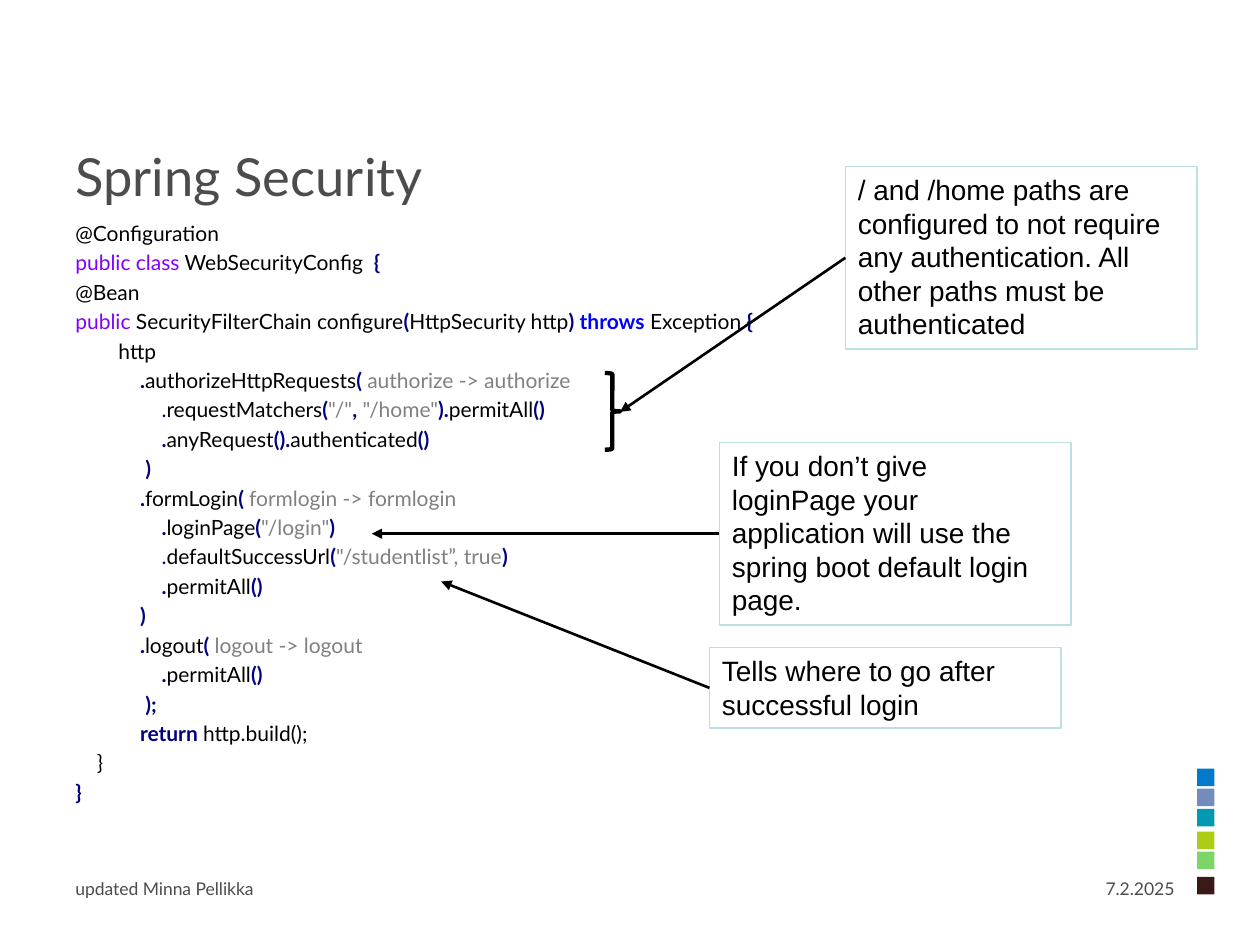
import pptx
import pptx.util
import pptx.dml.color
import pptx.enum.shapes
import pptx.enum.text
import pptx.oxml
import pptx.oxml.ns

Pt = pptx.util.Pt
RGBColor = pptx.dml.color.RGBColor
MSO_SHAPE = pptx.enum.shapes.MSO_SHAPE
PP_ALIGN = pptx.enum.text.PP_ALIGN
MSO_ANCHOR = pptx.enum.text.MSO_ANCHOR

BLACK = RGBColor(0x00, 0x00, 0x00)
SLATE = RGBColor(0x4C, 0x4C, 0x4C)
GRAY = RGBColor(0x80, 0x80, 0x80)
PURPLE = RGBColor(0x80, 0x00, 0xFF)
NAVY = RGBColor(0x00, 0x00, 0x80)
BLUE = RGBColor(0x00, 0x00, 0xFF)
PALE_TEAL = RGBColor(0xBB, 0xE0, 0xE3)

SWATCHES = [
    (439.2, RGBColor(0x00, 0x7A, 0xC9)),
    (450.7, RGBColor(0x73, 0x8C, 0xBC)),
    (462.2, RGBColor(0x00, 0x99, 0xB1)),
    (475.2, RGBColor(0xAC, 0xCD, 0x15)),
    (486.7, RGBColor(0x7C, 0xD5, 0x68)),
    (501.1, RGBColor(0x3A, 0x1A, 0x18)),
]

PLAIN = (BLACK, False)
KEYWORD = (PURPLE, False)
THROWS = (BLUE, True)
MARK = (NAVY, True)
LIGHT_MARK = (NAVY, False)
ARGUMENT = (GRAY, False)

SPACE_WIDTH = 3.08
CODE = [
    (0, [("@Configuration", PLAIN)]),
    (0, [("public", KEYWORD), (" ", PLAIN), ("class", KEYWORD),
         (" WebSecurityConfig  ", PLAIN), ("{", MARK)]),
    (0, [("@Bean", PLAIN)]),
    (0, [("public", KEYWORD), (" SecurityFilterChain configure", PLAIN),
         ("(", MARK), ("HttpSecurity http", PLAIN), (")", MARK), (" ", PLAIN),
         ("throws", THROWS), (" Exception ", PLAIN), ("{", MARK)]),
    (8, [("http", PLAIN)]),
    (12, [(".", MARK), ("authorizeHttpRequests", PLAIN), ("( ", MARK),
          ("authorize -> authorize", ARGUMENT)]),
    (16, [(".", LIGHT_MARK), ("requestMatchers", PLAIN), ("(", MARK),
          ('"/"', ARGUMENT), (",", MARK), (" ", PLAIN), ('"/home"', ARGUMENT),
          (").", MARK), ("permitAll", PLAIN), ("()", MARK)]),
    (16, [(".", MARK), ("anyRequest", PLAIN), ("().", MARK),
          ("authenticated", PLAIN), ("()", MARK)]),
    (13, [(")", MARK)]),
    (12, [(".", MARK), ("formLogin", PLAIN), ("( ", MARK),
          ("formlogin -> formlogin", ARGUMENT)]),
    (16, [(".", MARK), ("loginPage", PLAIN), ("(", MARK),
          ('"/login"', ARGUMENT), (")", MARK)]),
    (16, [(".", LIGHT_MARK), ("defaultSuccessUrl", PLAIN), ("(", MARK),
          ('"/studentlist”, true', ARGUMENT), (")", MARK)]),
    (16, [(".", MARK), ("permitAll", PLAIN), ("()", MARK)]),
    (12, [(")", MARK)]),
    (12, [(".", MARK), ("logout", PLAIN), ("( ", MARK),
          ("logout -> logout", ARGUMENT)]),
    (16, [(".", MARK), ("permitAll", PLAIN), ("()", MARK)]),
    (13, [(");", MARK)]),
    (12, [("return ", MARK), ("http.build();", PLAIN)]),
    (4, [("}", PLAIN)]),
    (0, [("}", MARK)]),
]

NOTES = [
    ("If you don’t give loginPage your application will use the spring boot "
     "default login page.", 411.1, 252.8, 104.4, (212.4, 305)),
    ("Tells where to go after successful login",
     405.4, 370.1, 46, (252.1, 332.3)),
    ("/ and /home paths are configured to not require any authentication. "
     "All other paths must be authenticated", 483.1, 95.1, 104.4, (354.3, 235.4)),
]


def add_run(paragraph, text, size, color, font="Lato", bold=False):
    run = paragraph.add_run()
    run.text = text
    run.font.name = font
    run.font.size = Pt(size)
    run.font.bold = bold
    run.font.color.rgb = color


def set_title(slide, text):
    title = slide.shapes.title
    title.left, title.top, title.width, title.height = (
        Pt(36), Pt(54.7), Pt(635.8), Pt(90.7))
    title.text_frame.vertical_anchor = MSO_ANCHOR.MIDDLE
    paragraph = title.text_frame.paragraphs[0]
    paragraph.alignment = PP_ALIGN.LEFT
    add_run(paragraph, text, 30, SLATE)


def add_text_frame(slide, left, top, width, height):
    frame = slide.shapes.add_textbox(
        Pt(left), Pt(top), Pt(width), Pt(height)).text_frame
    frame.word_wrap = True
    return frame


def add_code(slide, lines):
    frame = add_text_frame(slide, 36, 122.4, 669.6, 368.6)
    for number, (spaces, tokens) in enumerate(lines):
        paragraph = frame.add_paragraph() if number else frame.paragraphs[0]
        paragraph.space_before = Pt(2.4)
        if spaces:
            properties = paragraph._p.get_or_add_pPr()
            properties.set("marL", str(Pt(spaces * SPACE_WIDTH)))
            properties.set("indent", "0")
        for text, (color, bold) in tokens:
            add_run(paragraph, text, 12, color, bold=bold)


def add_footer(slide, text, left, width, alignment):
    paragraph = add_text_frame(slide, left, 498.2, width, 20).paragraphs[0]
    paragraph.alignment = alignment
    add_run(paragraph, text, 10, SLATE)


def add_swatch(slide, top, color):
    swatch = slide.shapes.add_shape(
        MSO_SHAPE.RECTANGLE, Pt(684), Pt(top), Pt(10), Pt(10))
    swatch.shadow.inherit = False
    swatch.fill.solid()
    swatch.fill.fore_color.rgb = color
    swatch.line.fill.background()


def add_outline(slide, kind, left, top, width, height, color, weight):
    outline = slide.shapes.add_shape(
        kind, Pt(left), Pt(top), Pt(width), Pt(height))
    outline.shadow.inherit = False
    outline.fill.background()
    outline.line.color.rgb = color
    outline.line.width = Pt(weight)
    return outline


def add_note(slide, text, left, top, height):
    note = add_outline(
        slide, MSO_SHAPE.RECTANGLE, left, top, 200.9, height, PALE_TEAL, 0.75)
    frame = note.text_frame
    frame.word_wrap = True
    frame.vertical_anchor = MSO_ANCHOR.TOP
    paragraph = frame.paragraphs[0]
    paragraph.alignment = PP_ALIGN.LEFT
    add_run(paragraph, text, 16, BLACK, "Arial")
    return note


def add_arrow(slide, note, target):
    target_x, target_y = target
    arrow = slide.shapes.add_connector(
        pptx.enum.shapes.MSO_CONNECTOR.STRAIGHT,
        note.left, note.top, Pt(target_x), Pt(target_y))
    arrow.begin_connect(note, 1)
    arrow.line.color.rgb = BLACK
    arrow.line.width = Pt(1.5)
    head = pptx.oxml.parse_xml(
        f'<a:tailEnd {pptx.oxml.ns.nsdecls("a")} type="triangle"/>')
    arrow.line._get_or_add_ln().append(head)
    arrow._element.spPr.append(
        pptx.oxml.parse_xml(f'<a:effectLst {pptx.oxml.ns.nsdecls("a")}/>'))


def main():
    deck = pptx.Presentation()
    deck.slide_width, deck.slide_height = Pt(720), Pt(540)
    slide = deck.slides.add_slide(deck.slide_layouts[5])
    for top, color in SWATCHES:
        add_swatch(slide, top, color)
    set_title(slide, "Spring Security")
    add_code(slide, CODE)
    add_footer(slide, "7.2.2025", 606.2, 72, PP_ALIGN.RIGHT)
    add_footer(slide, "updated Minna Pellikka", 36, 192.2, PP_ALIGN.LEFT)
    for text, left, top, height, target in NOTES:
        note = add_note(slide, text, left, top, height)
        add_arrow(slide, note, target)
    add_outline(slide, MSO_SHAPE.RIGHT_BRACE, 345.6, 213.1, 8.6, 43.9, BLACK, 2.5)
    deck.save("out.pptx")


if __name__ == "__main__":
    main()
